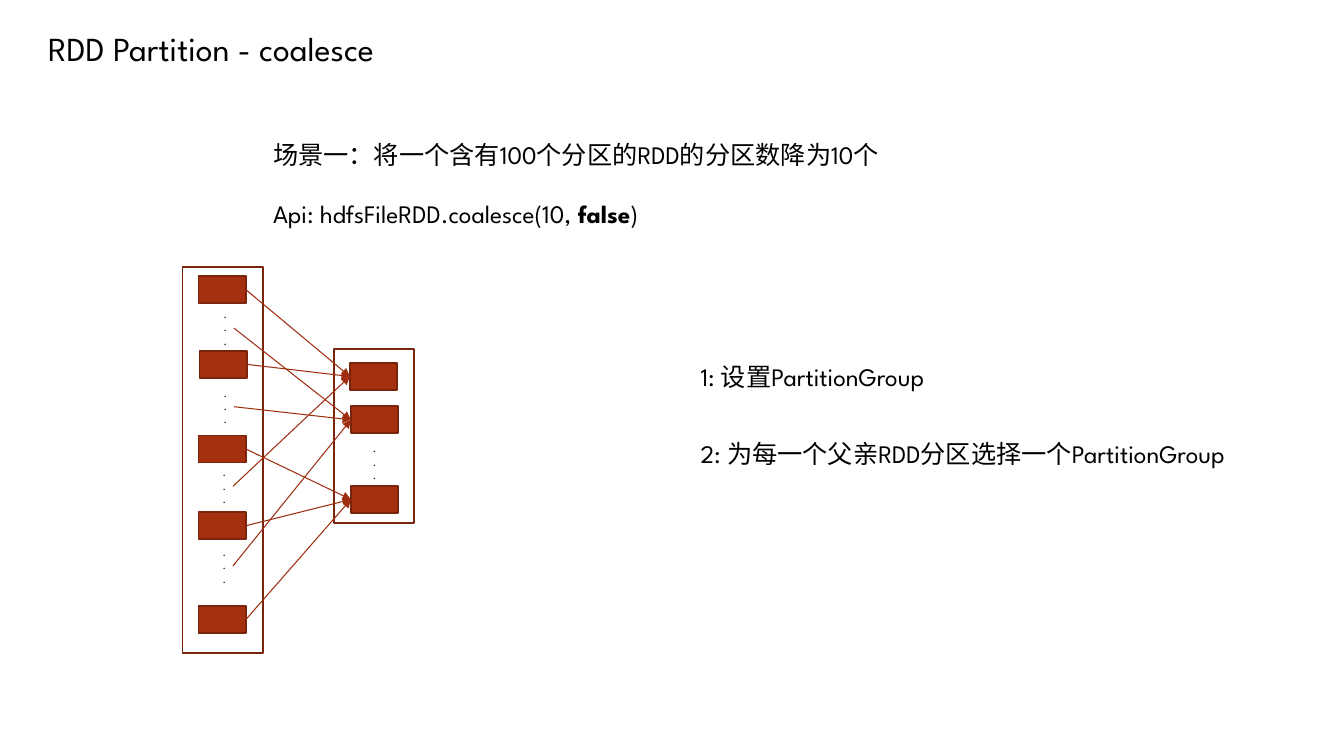
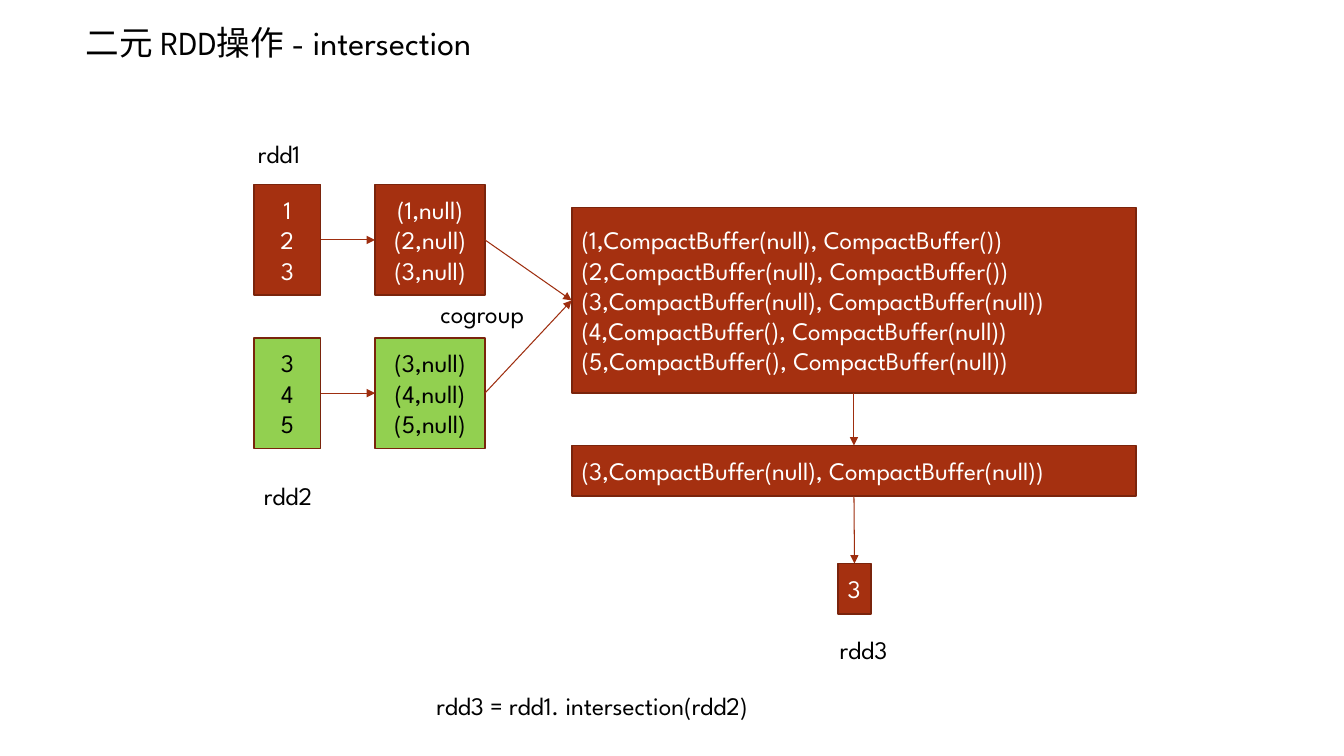
from lxml.etree import SubElement
from pptx import Presentation
from pptx.dml.color import RGBColor
from pptx.enum.shapes import MSO_CONNECTOR, MSO_SHAPE
from pptx.enum.text import MSO_ANCHOR, MSO_AUTO_SIZE, PP_ALIGN
from pptx.oxml.ns import qn
from pptx.util import Inches, Pt

FONT = "League Spartan"
COLORS = {"black": "000000", "white": "FFFFFF", "red": "A53010",
          "green": "92D050", "border": "7A240C", "arrow": "9E2E0F"}
TOP, LEFT, BOTTOM, RIGHT = range(4)

PARTITION_SIZE = (0.47, 0.27)
DOTS_SIZE = (0.2, 0.51)
LABEL_HEIGHT = 0.4

COALESCE_TITLE = ("RDD Partition - coalesce", 0.38, 0.23, 4.14)
COALESCE_LABELS = [
    ("场景一：将一个含有100个分区的RDD的分区数降为10个", 2.61, 1.33, 6.48),
    ([("Api: hdfsFileRDD.coalesce(10, ", False), ("false", True), (")", False)], 2.61, 1.92, 4.7),
    ("1: 设置PartitionGroup", 6.85, 3.54, 2.76),
    ("2: 为每一个父亲RDD分区选择一个PartitionGroup", 6.85, 4.3, 5.82),
]
RDD_FRAMES = [(1.81, 2.65, 0.8, 3.83), (3.31, 3.46, 0.8, 1.73)]
PARTITIONS = {
    "parent 1": (1.97, 2.74), "parent 2": (1.98, 3.48), "parent 3": (1.97, 4.32),
    "parent 4": (1.97, 5.08), "parent 5": (1.97, 6.01),
    "group 1": (3.47, 3.6), "group 2": (3.48, 4.03), "group 3": (3.48, 4.82),
}
DOTS = {
    "dots 1": (2.12, 3), "dots 2": (2.12, 3.78), "dots 3": (2.11, 4.57),
    "dots 4": (2.11, 5.36), "group dots": (3.6, 4.33),
}
GROUP_MEMBERS = {
    "group 1": ["parent 1", "parent 2", "dots 3"],
    "group 2": ["dots 1", "dots 2", "dots 4"],
    "group 3": ["parent 3", "parent 4", "parent 5"],
}

INTERSECTION_TITLE = ("二元 RDD操作 - intersection", 0.75, 0.17, 4.71)
INTERSECTION_LABELS = [
    ("rdd1", 2.46, 1.32, 0.76),
    ("rdd2", 2.52, 4.72, 0.76),
    ("rdd3", 8.23, 6.24, 0.76),
    ("cogroup", 4.27, 2.91, 1.27),
    ("rdd3 = rdd1. intersection(rdd2)", 4.23, 6.8, 4),
]
INPUTS = [([1, 2, 3], 1.83, "red", "white"), ([3, 4, 5], 3.35, "green", "black")]
COGROUPED = [
    "(1,CompactBuffer(null), CompactBuffer())",
    "(2,CompactBuffer(null), CompactBuffer())",
    "(3,CompactBuffer(null), CompactBuffer(null))",
    "(4,CompactBuffer(), CompactBuffer(null))",
    "(5,CompactBuffer(), CompactBuffer(null))",
]
RESULT_STEPS = [
    (COGROUPED, (5.67, 2.06, 5.6, 1.84)),
    ([COGROUPED[2]], (5.67, 4.42, 5.6, 0.5)),
    (["3"], (8.31, 5.59, 0.33, 0.5)),
]


def color(name):
    return RGBColor.from_string(COLORS[name])


def write(shape, lines, *, size=18, ink="black", align=PP_ALIGN.LEFT, anchor=MSO_ANCHOR.TOP):
    frame = shape.text_frame
    frame.word_wrap = True
    frame.vertical_anchor = anchor
    for index, line in enumerate(lines):
        para = frame.paragraphs[0] if index == 0 else frame.add_paragraph()
        para.alignment = align
        spans = [(line, False)] if isinstance(line, str) else line
        for text, bold in spans:
            span = para.add_run()
            span.text = text
            span.font.name = FONT
            span.font.size = Pt(size)
            span.font.bold = bold
            span.font.color.rgb = color(ink)


def add_label(page, lines, left, top, width, height=LABEL_HEIGHT, **style):
    box = page.shapes.add_textbox(*map(Inches, (left, top, width, height)))
    box.text_frame.auto_size = MSO_AUTO_SIZE.SHAPE_TO_FIT_TEXT
    write(box, lines, **style)
    return box


def add_box(page, place, fill=None, lines=(), **style):
    box = page.shapes.add_shape(MSO_SHAPE.RECTANGLE, *map(Inches, place))
    box.shadow.inherit = False
    if fill:
        box.fill.solid()
        box.fill.fore_color.rgb = color(fill)
    else:
        box.fill.background()
    box.line.color.rgb = color("border")
    box.line.width = Pt(1.25)
    write(box, lines, anchor=MSO_ANCHOR.MIDDLE, **style)
    return box


def add_arrow(page, source, target, sites=(RIGHT, LEFT)):
    arrow = page.shapes.add_connector(MSO_CONNECTOR.STRAIGHT, 0, 0, 0, 0)
    arrow.begin_connect(source, sites[0])
    arrow.end_connect(target, sites[1])
    arrow.line.color.rgb = color("arrow")
    arrow.line.width = Pt(0.75)
    properties = arrow.element.spPr
    SubElement(properties.find(qn("a:ln")), qn("a:tailEnd"), type="triangle")
    SubElement(properties, qn("a:effectLst"))


def add_page(deck, title, labels):
    page = deck.slides.add_slide(deck.slide_layouts[6])
    text, *place = title
    add_label(page, [text], *place, height=0.5, size=24)
    for text, *place in labels:
        add_label(page, [text], *place)
    return page


def build_coalesce(deck):
    page = add_page(deck, COALESCE_TITLE, COALESCE_LABELS)
    for place in RDD_FRAMES:
        add_box(page, place)
    nodes = {name: add_box(page, corner + PARTITION_SIZE, "red")
             for name, corner in PARTITIONS.items()}
    for name, corner in DOTS.items():
        nodes[name] = add_label(page, ["."] * 3, *corner, *DOTS_SIZE, size=8)
    for group, members in GROUP_MEMBERS.items():
        for member in members:
            add_arrow(page, nodes[member], nodes[group])


def build_intersection(deck):
    page = add_page(deck, INTERSECTION_TITLE, INTERSECTION_LABELS)
    steps = [add_box(page, place, "red", lines, ink="white") for lines, place in RESULT_STEPS]
    for values, top, fill, ink in INPUTS:
        style = {"ink": ink, "align": PP_ALIGN.CENTER}
        keys = add_box(page, (2.52, top, 0.66, 1.1), fill, [f"{value}" for value in values], **style)
        pairs = add_box(page, (3.72, top, 1.09, 1.1), fill,
                        [f"({value},null)" for value in values], **style)
        add_arrow(page, keys, pairs)
        add_arrow(page, pairs, steps[0])
    for source, target in zip(steps, steps[1:]):
        add_arrow(page, source, target, (BOTTOM, TOP))


def main():
    deck = Presentation()
    deck.slide_width = Inches(13.33)
    deck.slide_height = Inches(7.5)
    build_coalesce(deck)
    build_intersection(deck)
    deck.save("out.pptx")


if __name__ == "__main__":
    main()
